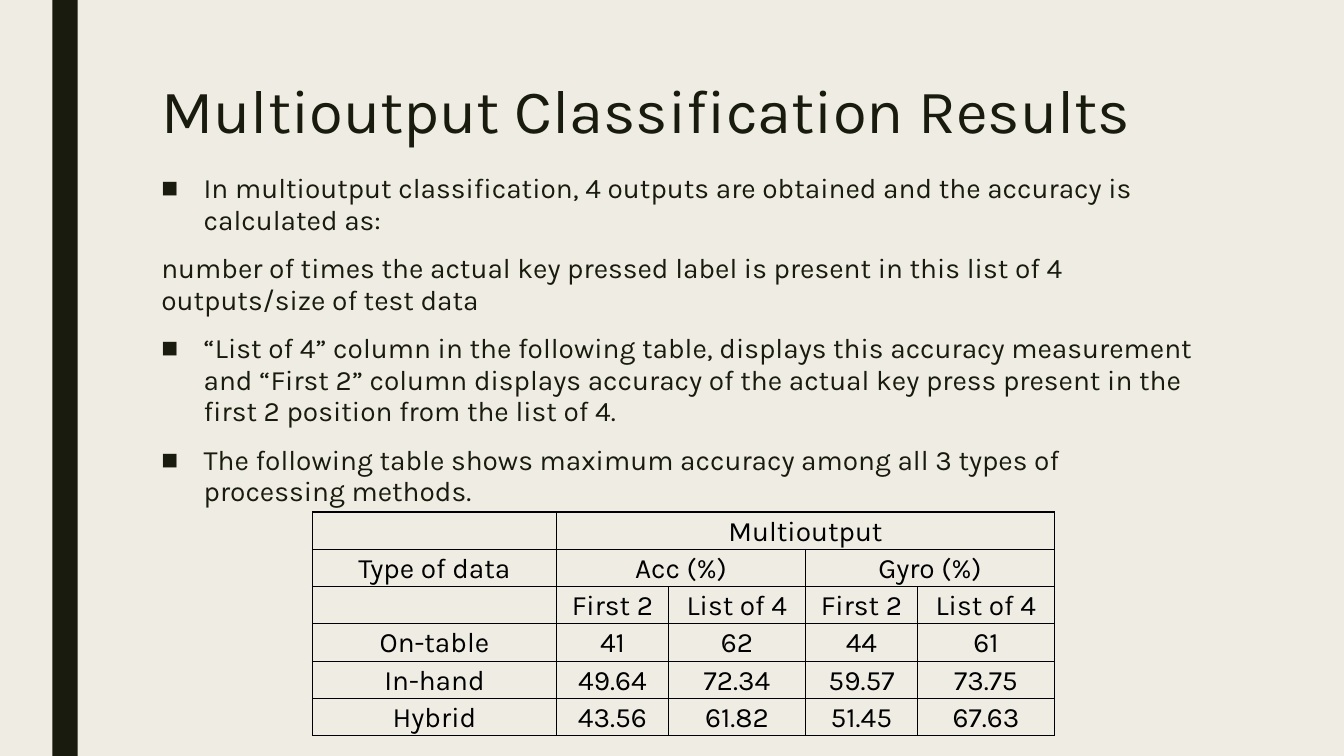
import dataclasses

import pptx
import pptx.dml.color
import pptx.enum.shapes
import pptx.enum.text
import pptx.oxml.ns
import pptx.util
from lxml import etree
from pptx.util import Inches


@dataclasses.dataclass(frozen=True)
class Theme:
    """Colours, font and type sizes of the slide."""
    background: str = "EFEDE3"
    ink: str = "191B0E"
    table_ink: str = "000000"
    font: str = "Karla"
    title_size: int = 44
    text_size: int = 20


def add_element(parent, tag, **attributes):
    """Append a DrawingML element to parent and return it."""
    return etree.SubElement(parent, pptx.oxml.ns.qn(tag), **attributes)


class SlideBuilder:
    """Holds the theme and the slide being built."""

    def __init__(self, slide, theme):
        """Take the slide and paint its background."""
        self.slide, self.theme = slide, theme
        self.paint(slide.background.fill, theme.background)

    def paint(self, fill, colour):
        """Give a fill one solid colour."""
        fill.solid()
        fill.fore_color.rgb = pptx.dml.color.RGBColor.from_string(colour)

    def style(self, paragraph, size, colour, line_spacing, before=0, after=0):
        """Set the font and spacing of a paragraph."""
        paragraph.font.name = self.theme.font
        paragraph.font.size = pptx.util.Pt(size)
        paragraph.font.color.rgb = pptx.dml.color.RGBColor.from_string(colour)
        paragraph.line_spacing = line_spacing
        paragraph.space_before = pptx.util.Pt(before)
        paragraph.space_after = pptx.util.Pt(after)

    def place(self, placeholder, left, top, width, height):
        """Move a placeholder and return its top-anchored text frame."""
        placeholder.left, placeholder.top = Inches(left), Inches(top)
        placeholder.width, placeholder.height = Inches(width), Inches(height)
        frame = placeholder.text_frame
        frame.word_wrap = True
        frame.auto_size = pptx.enum.text.MSO_AUTO_SIZE.NONE
        frame.vertical_anchor = pptx.enum.text.MSO_ANCHOR.TOP
        return frame

    def bar(self, left, top, width, height):
        """Add a plain filled bar."""
        shape = self.slide.shapes.add_shape(
            pptx.enum.shapes.MSO_SHAPE.RECTANGLE,
            Inches(left), Inches(top), Inches(width), Inches(height))
        shape.shadow.inherit = False
        self.paint(shape.fill, self.theme.ink)
        shape.line.fill.background()

    def title(self, text, *box):
        """Fill the title placeholder."""
        frame = self.place(self.slide.shapes.title, *box)
        frame.text = text
        paragraph = frame.paragraphs[0]
        paragraph.alignment = pptx.enum.text.PP_ALIGN.LEFT
        self.style(paragraph, self.theme.title_size, self.theme.ink, 0.89)

    def body(self, items, *box):
        """Fill the body placeholder from (text, bulleted) pairs."""
        frame = self.place(self.slide.placeholders[1], *box)
        frame.text = "\n".join(text for text, _ in items)
        for paragraph, (_, bulleted) in zip(frame.paragraphs, items):
            self.style(paragraph, self.theme.text_size, self.theme.ink,
                       0.94, before=10, after=2)
            indent = Inches(0.42) if bulleted else 0
            properties = paragraph._p.get_or_add_pPr()
            properties.set("marL", str(indent))
            properties.set("indent", str(-indent))
            bullet = etree.Element(pptx.oxml.ns.qn(
                "a:buChar" if bulleted else "a:buNone"))
            if bulleted:
                bullet.set("char", "■")
            properties.find(pptx.oxml.ns.qn("a:defRPr")).addprevious(bullet)

    def cell(self, cell, text):
        """Write one centred, bordered cell without fill."""
        cell.text = text
        cell.vertical_anchor = pptx.enum.text.MSO_ANCHOR.MIDDLE
        cell.margin_left = cell.margin_right = Inches(0.07)
        cell.margin_top = cell.margin_bottom = 0
        paragraph = cell.text_frame.paragraphs[0]
        paragraph.alignment = pptx.enum.text.PP_ALIGN.CENTER
        self.style(paragraph, self.theme.text_size, self.theme.table_ink,
                   1.07, after=6)
        properties = cell._tc.get_or_add_tcPr()
        for side in "LRTB":
            line = add_element(properties, f"a:ln{side}",
                               w=str(pptx.util.Pt(1)))
            add_element(add_element(line, "a:solidFill"), "a:srgbClr",
                        val=self.theme.table_ink)
        cell.fill.background()

    def table(self, rows, spans, left, top, widths, row_height):
        """Add a table; spans lists (row, first column, last column)."""
        table = self.slide.shapes.add_table(
            len(rows), len(widths), Inches(left), Inches(top),
            Inches(sum(widths)), Inches(row_height * len(rows))).table
        table.first_row = table.horz_banding = False
        for column, width in zip(table.columns, widths):
            column.width = Inches(width)
        for row_index, row in enumerate(rows):
            table.rows[row_index].height = Inches(row_height)
            for column_index, text in enumerate(row):
                self.cell(table.cell(row_index, column_index), text)
        for row_index, first, last in spans:
            table.cell(row_index, first).merge(table.cell(row_index, last))


ITEMS = [
    ("In multioutput classification, 4 outputs are obtained and the accuracy "
     "is calculated as:", True),
    ("number of times the actual key pressed label is present in this list "
     "of 4 outputs/size of test data", False),
    ("“List of 4” column in the following table, displays this accuracy "
     "measurement and “First 2” column displays accuracy of the actual key "
     "press present in the first 2 position from the list of 4.", True),
    ("The following table shows maximum accuracy among all 3 types of "
     "processing methods.", True),
]
RESULTS = [
    ["", "Multioutput", "", "", ""],
    ["Type of data", "Acc (%)", "", "Gyro (%)", ""],
    ["", *["First 2", "List of 4"] * 2],
    ["On-table", "41", "62", "44", "61"],
    ["In-hand", "49.64", "72.34", "59.57", "73.75"],
    ["Hybrid", "43.56", "61.82", "51.45", "67.63"],
]
HEADER_SPANS = [(0, 1, 4), (1, 1, 2), (1, 3, 4)]


def main():
    """Build the slide and save it."""
    presentation = pptx.Presentation()
    presentation.slide_width = Inches(13.33)
    presentation.slide_height = Inches(7.5)
    slide = presentation.slides.add_slide(presentation.slide_layouts[1])
    builder = SlideBuilder(slide, Theme())
    builder.bar(0.52, 0, 0.25, 7.5)
    builder.title("Multioutput Classification Results", 1.5, 0.75, 10.5, 1.62)
    builder.body(ITEMS, 1.5, 1.67, 10.5, 3.41)
    builder.table(RESULTS, HEADER_SPANS, 3.1, 5.08,
                  [2.42, *[1.11, 1.36] * 2], 0.37)
    presentation.save("out.pptx")


main()
